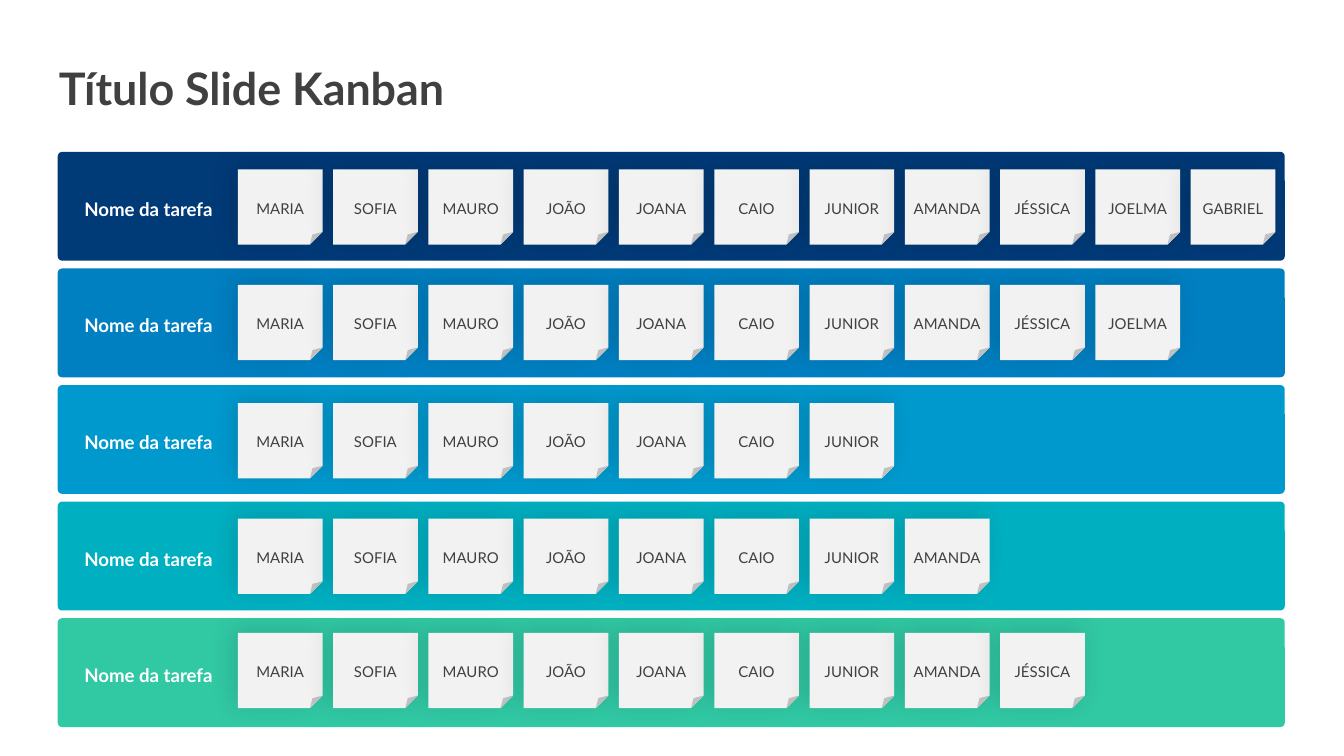
from lxml import etree
from pptx import Presentation
from pptx.dml.color import RGBColor
from pptx.enum.shapes import MSO_SHAPE
from pptx.enum.text import MSO_ANCHOR, PP_ALIGN
from pptx.oxml.ns import qn
from pptx.util import Inches, Pt

ROUNDED, NOTE = MSO_SHAPE.ROUNDED_RECTANGLE, MSO_SHAPE.FOLDED_CORNER
MIDDLE = MSO_ANCHOR.MIDDLE
LEFT, CENTER = PP_ALIGN.LEFT, PP_ALIGN.CENTER

TITLE = "Título Slide Kanban"
PEOPLE = ["MARIA", "SOFIA", "MAURO", "JOÃO", "JOANA", "CAIO",
          "JUNIOR", "AMANDA", "JÉSSICA", "JOELMA", "GABRIEL"]
# task name, lane colour, number of people, top of the notes
LANES = [
    ("Nome da tarefa", "003A77", 11, 1.26),
    ("Nome da tarefa", "007FC1", 10, 2.12),
    ("Nome da tarefa", "0099CE", 7, 3.00),
    ("Nome da tarefa", "00B0C1", 8, 3.86),
    ("Nome da tarefa", "31C8A4", 9, 4.71),
]

THEME = {
    "title": {"name": "Lato", "size": Pt(24), "bold": True, "color": "404040"},
    "task": {"name": "Lato", "size": Pt(10), "bold": True, "color": "FFFFFF"},
    "person": {"name": "Lato", "size": Pt(8), "bold": False, "color": "404040"},
    "note": "F2F2F2",
    "shadow": {"color": "000000", "alpha": 12, "blur": 13, "distance": 3, "angle": 225},
}

SLIDE_WIDTH = Inches(10)
SLIDE_HEIGHT = SLIDE_WIDTH * 9 // 16
LANE_LEFT, LANE_WIDTH, LANE_HEIGHT = 0.43, 9.13, 0.81
FIRST_LANE_TOP, LAST_LANE_TOP = 1.13, 4.60
LANE_STEP = (LAST_LANE_TOP - FIRST_LANE_TOP) / (len(LANES) - 1)
NOTE_WIDTH, NOTE_HEIGHT = 0.63, 0.56
FIRST_NOTE_LEFT, LAST_NOTE_LEFT = 1.77, 8.86
NOTE_STEP = (LAST_NOTE_LEFT - FIRST_NOTE_LEFT) / (len(PEOPLE) - 1)
TASK_LEFT, TASK_OFFSET = 0.53, 0.29
NOTE_MARGINS = {"margin_left": Inches(0.04), "margin_top": Inches(0.16),
                "margin_right": Inches(0.04), "margin_bottom": Inches(0.05)}


def write(shape, text, style, alignment=LEFT, **frame_format):
    frame = shape.text_frame
    frame_format = {"word_wrap": True, "vertical_anchor": MIDDLE, **frame_format}
    for attribute, value in frame_format.items():
        setattr(frame, attribute, value)
    paragraph = frame.paragraphs[0]
    paragraph.alignment = alignment
    run = paragraph.add_run()
    run.text = text
    for attribute, value in THEME[style].items():
        if attribute == "color":
            run.font.color.rgb = RGBColor.from_string(value)
        else:
            setattr(run.font, attribute, value)


def add_label(slide, box, text, style):
    write(slide.shapes.add_textbox(*map(Inches, box)), text, style)


def add_filled(slide, kind, box, color):
    shape = slide.shapes.add_shape(kind, *map(Inches, box))
    shape.shadow.inherit = False
    shape.fill.solid()
    shape.fill.fore_color.rgb = RGBColor.from_string(color)
    shape.line.fill.background()
    return shape


def add_soft_shadow(shape):
    shadow = THEME["shadow"]
    effects = shape._element.spPr.find(qn("a:effectLst"))
    outer = etree.SubElement(
        effects, qn("a:outerShdw"), blurRad=str(Pt(shadow["blur"])),
        dist=str(Pt(shadow["distance"])), dir=str(shadow["angle"] * 60000),
        algn="br", rotWithShape="0")
    color = etree.SubElement(outer, qn("a:srgbClr"), val=shadow["color"])
    etree.SubElement(color, qn("a:alpha"), val=str(shadow["alpha"] * 1000))


def add_note(slide, column, top, person):
    left = FIRST_NOTE_LEFT + column * NOTE_STEP
    note = add_filled(slide, NOTE, (left, top, NOTE_WIDTH, NOTE_HEIGHT), THEME["note"])
    add_soft_shadow(note)
    write(note, person, "person", CENTER, **NOTE_MARGINS)


def add_lane(slide, row, task, color, people_count, note_top):
    top = FIRST_LANE_TOP + row * LANE_STEP
    lane = add_filled(slide, ROUNDED, (LANE_LEFT, top, LANE_WIDTH, LANE_HEIGHT), color)
    lane.adjustments[0] = 0.04
    add_label(slide, (TASK_LEFT, top + TASK_OFFSET, 1.56, 0.27), task, "task")
    for column, person in enumerate(PEOPLE[:people_count]):
        add_note(slide, column, note_top, person)


def main():
    presentation = Presentation()
    presentation.slide_width, presentation.slide_height = SLIDE_WIDTH, SLIDE_HEIGHT
    slide = presentation.slides.add_slide(presentation.slide_layouts[6])
    add_label(slide, (0.34, 0.44, 7.18, 0.42), TITLE, "title")
    for row, lane in enumerate(LANES):
        add_lane(slide, row, *lane)
    presentation.save("out.pptx")


if __name__ == "__main__":
    main()
